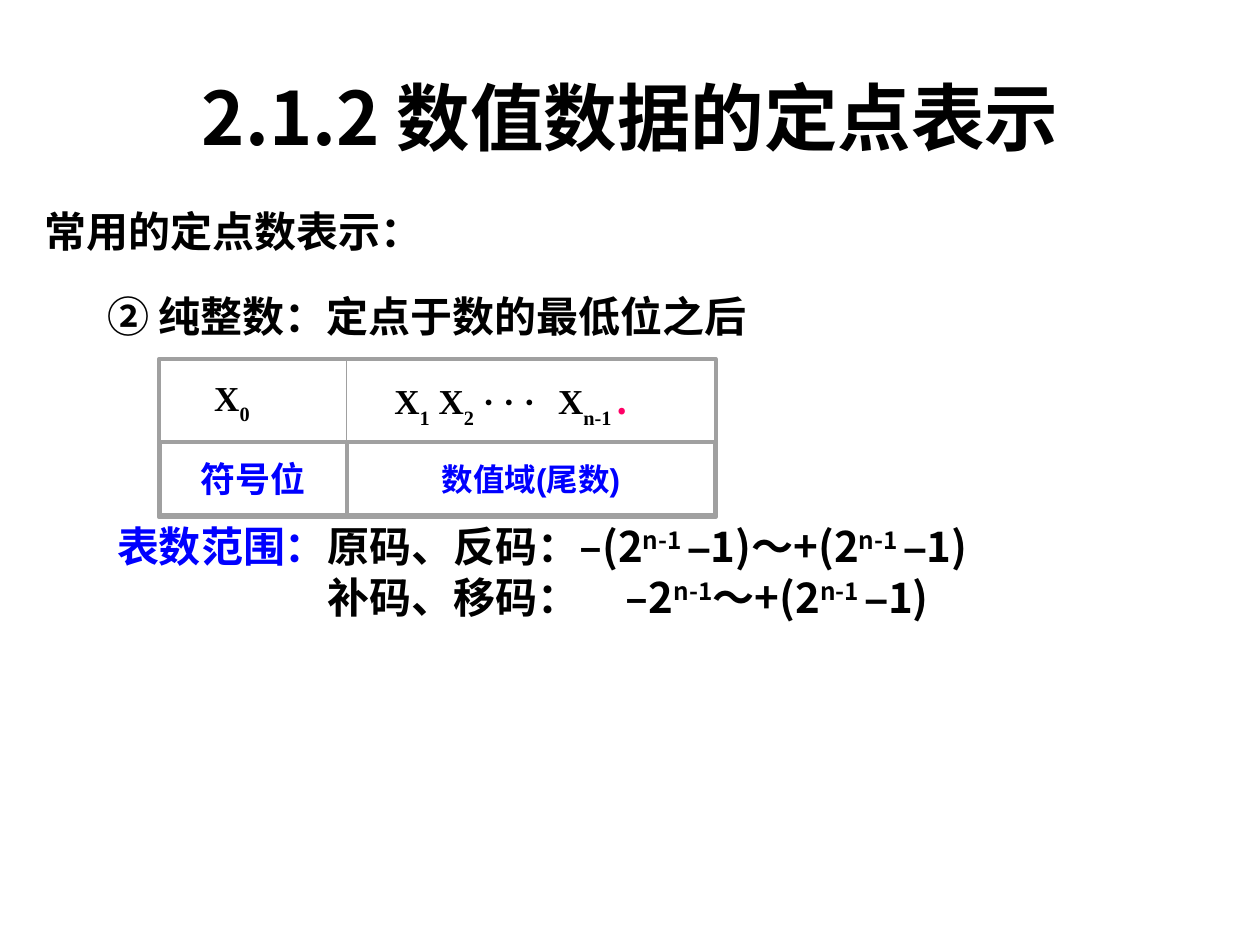
from dataclasses import dataclass, field
from typing import Optional

import pptx
import pptx.dml.color
import pptx.enum.shapes
import pptx.enum.text
import pptx.oxml
import pptx.oxml.ns
import pptx.util
from pptx.util import Cm, Pt

BLACK = pptx.dml.color.RGBColor(0x00, 0x00, 0x00)
BLUE = pptx.dml.color.RGBColor(0x00, 0x00, 0xFF)
PINK = pptx.dml.color.RGBColor(0xFF, 0x00, 0x66)
GRAY = pptx.dml.color.RGBColor(0xA0, 0xA0, 0xA0)
HEI = "Noto Sans CJK SC"
ROMAN = "Times New Roman"
ARIAL = "Arial"
ANCHOR = pptx.enum.text.MSO_ANCHOR
ALIGN = pptx.enum.text.PP_ALIGN
AUTO_SIZE = pptx.enum.text.MSO_AUTO_SIZE


@dataclass
class Piece:
    """A stretch of text; unset fields follow the paragraph."""
    text: str
    face: Optional[str] = None
    baseline: int = 0
    size: Optional[float] = None
    color: Optional[pptx.dml.color.RGBColor] = None


@dataclass
class Line:
    pieces: list[Piece]
    size: float = 24
    face: str = HEI
    color: pptx.dml.color.RGBColor = BLACK
    align: pptx.enum.text.PP_ALIGN = ALIGN.LEFT
    tab: Optional[float] = None
    spacing: Optional[float] = None


@dataclass
class TextBlock:
    left: float
    top: float
    width: float
    height: float
    lines: list[Line]
    wrap: bool = True


@dataclass
class Cell:
    column: int
    row: int
    border: float
    line: Line
    indent: float = 0


@dataclass
class Grid:
    left: float = 3.23
    top: float = 7.24
    widths: list[float] = field(default_factory=lambda: [3.76, 7.42])
    heights: list[float] = field(default_factory=lambda: [1.68, 1.47])
    inset: float = 0.36


def set_east_asian_face(properties) -> None:
    pptx.oxml.parse_xml
    east_asian = properties.makeelement(pptx.oxml.ns.qn("a:ea"), {"typeface": HEI})
    properties.append(east_asian)


def write_line(paragraph, line: Line) -> None:
    paragraph.alignment = line.align
    if line.spacing:
        paragraph.line_spacing = Pt(line.spacing)
    if line.tab:
        properties = paragraph._p.get_or_add_pPr()
        tabs = properties.makeelement(pptx.oxml.ns.qn("a:tabLst"), {})
        tabs.append(tabs.makeelement(
            pptx.oxml.ns.qn("a:tab"), {"pos": str(int(Cm(line.tab))), "algn": "l"}))
        properties.append(tabs)
    font = paragraph.font
    font.size, font.bold, font.name = Pt(line.size), True, line.face
    font.color.rgb = line.color
    set_east_asian_face(font._element)
    for piece in line.pieces:
        run = paragraph.add_run()
        run.text = piece.text
        if piece.face:
            run.font.name = piece.face
        if piece.size:
            run.font.size = Pt(piece.size)
        if piece.color:
            run.font.color.rgb = piece.color
        if piece.baseline:
            run._r.get_or_add_rPr().set("baseline", str(piece.baseline * 1000))
        set_east_asian_face(run._r.get_or_add_rPr())


def add_text_block(shapes, block: TextBlock):
    shape = shapes.add_textbox(
        Cm(block.left), Cm(block.top), Cm(block.width), Cm(block.height))
    frame = shape.text_frame
    frame.word_wrap = block.wrap
    frame.auto_size = AUTO_SIZE.SHAPE_TO_FIT_TEXT
    for index, line in enumerate(block.lines):
        write_line(frame.add_paragraph() if index else frame.paragraphs[0], line)
    return shape


def add_border(shapes, left: float, top: float, width: float, height: float,
               weight: float) -> None:
    shape = shapes.add_shape(pptx.enum.shapes.MSO_SHAPE.RECTANGLE,
                             Cm(left), Cm(top), Cm(width), Cm(height))
    shape.shadow.inherit = False
    shape.fill.background()
    shape.line.color.rgb = GRAY
    shape.line.width = Pt(weight)


def add_cell(shapes, grid: Grid, cell: Cell) -> None:
    left = grid.left + sum(grid.widths[:cell.column])
    top = grid.top + sum(grid.heights[:cell.row])
    width, height = grid.widths[cell.column], grid.heights[cell.row]
    label = add_text_block(shapes, TextBlock(
        left + grid.inset, top, width - 2 * grid.inset, height, [cell.line]))
    frame = label.text_frame
    frame.auto_size = AUTO_SIZE.NONE
    frame.vertical_anchor = ANCHOR.MIDDLE
    frame.margin_left = Cm(0.25 + cell.indent)
    add_border(shapes, left, top, width, height, cell.border)


def heading(text: str, color=BLACK) -> Line:
    return Line([Piece(text)], color=color, spacing=29)


DASH = Piece("–", ARIAL)
POWER = Piece("n-1 ", baseline=30)
RANGES = [
    Line([Piece("原码、反码："), DASH, Piece("(2"), POWER, DASH,
          Piece("1)～+(2"), POWER, DASH, Piece("1)")], spacing=29),
    Line([Piece("补码、移码：\t"), DASH, Piece("2"), Piece("n-1", baseline=30),
          Piece("～+(2"), POWER, DASH, Piece("1)")], tab=6.02, spacing=29),
]
BLOCKS = [
    TextBlock(1.91, 5.72, 16.71, 1.27, [heading("② 纯整数：定点于数的最低位之后")]),
    TextBlock(6.35, 10.36, 15.44, 2.29, RANGES),
    TextBlock(2.11, 10.36, 4.78, 1.27, [heading("表数范围：", BLUE)], wrap=False),
    TextBlock(0.64, 4.01, 19.69, 1.27, [heading("常用的定点数表示：")]),
]
CELLS = [
    Cell(0, 0, 0, Line([Piece("X"), Piece("0", baseline=-30)], 20, ROMAN), 0.48),
    Cell(1, 0, 0, Line(
        [Piece("X"), Piece("1", baseline=-30), Piece(" X"), Piece("2", baseline=-30),
         Piece(" · · ·"), Piece("\t", size=24), Piece("X"),
         Piece("n-1 ", baseline=-30), Piece(".", HEI, color=PINK)],
        20, ROMAN, tab=3.3), 0.35),
    Cell(0, 1, 2.25, Line([Piece("符号位")], 20, HEI, BLUE, ALIGN.CENTER)),
    Cell(1, 1, 2.25, Line([Piece("数值域(尾数)")], 18, ARIAL, BLUE, ALIGN.CENTER)),
]


def main() -> None:
    presentation = pptx.Presentation()
    presentation.slide_width, presentation.slide_height = Cm(25.4), Cm(19.05)
    slide = presentation.slides.add_slide(presentation.slide_layouts[5])

    title = slide.shapes.title
    title.left, title.top, title.width, title.height = (
        Cm(1.27), Cm(0.76), Cm(22.86), Cm(3.18))
    title.text_frame.vertical_anchor = ANCHOR.MIDDLE
    write_line(title.text_frame.paragraphs[0],
               Line([Piece("2.1.2 数值数据的定点表示")], 42, align=ALIGN.CENTER))

    format_group = slide.shapes.add_group_shape()
    for cell in CELLS:
        add_cell(format_group.shapes, Grid(), cell)
    add_border(format_group.shapes, 3.2, 7.24, 11.23, 3.18, 2.25)

    for block in BLOCKS:
        add_text_block(slide.shapes, block)
    presentation.save("out.pptx")


if __name__ == "__main__":
    main()
